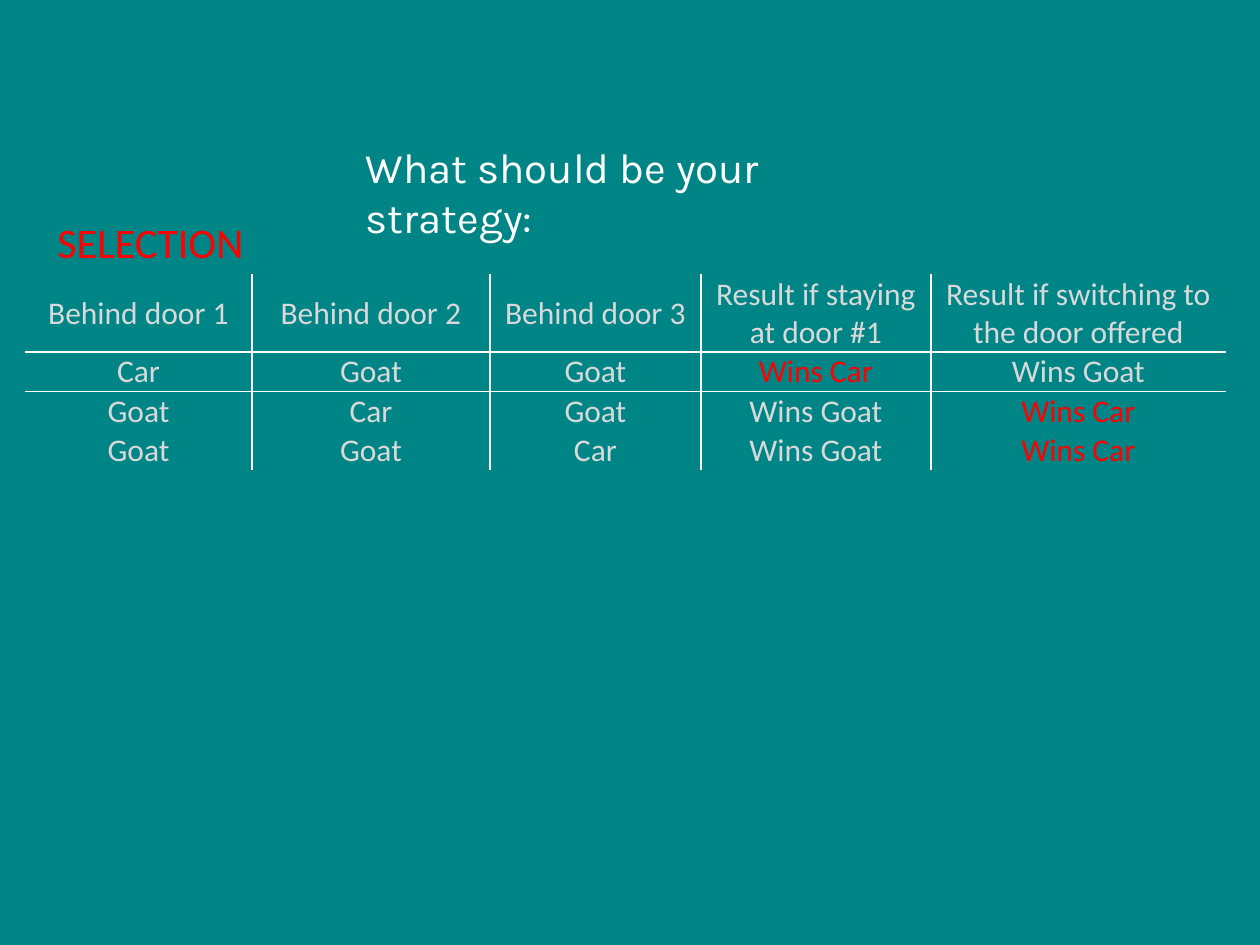
from lxml import etree
from pptx import Presentation
from pptx.dml.color import RGBColor
from pptx.enum.text import MSO_ANCHOR, MSO_AUTO_SIZE, PP_ALIGN
from pptx.oxml.ns import qn
from pptx.util import Pt

PX = 914400 // 126
LEFT, CENTER = PP_ALIGN.LEFT, PP_ALIGN.CENTER
TOP, MIDDLE, BOTTOM = MSO_ANCHOR.TOP, MSO_ANCHOR.MIDDLE, MSO_ANCHOR.BOTTOM
FIXED = MSO_AUTO_SIZE.NONE
PLAIN = "{2D5ABB26-0587-4C30-8999-92F81FD0307C}"
TEAL, WHITE, GREY, RED = "008586", "FFFFFF", "D9D9D9", "FF0000"
WIN = "Wins Car"
WIDTHS = [227, 238, 211, 230, 295]
HEIGHTS = [77, 39, 39, 39]
ROWS = [
    ["Behind door 1", "Behind door 2", "Behind door 3",
     "Result if staying at door #1", "Result if switching to the door offered"],
    ["Car", "Goat", "Goat", WIN, "Wins Goat"],
    ["Goat", "Car", "Goat", "Wins Goat", WIN],
    ["Goat", "Goat", "Car", "Wins Goat", WIN],
]


def px(*nums):
    return [num * PX for num in nums]


def rgb(code):
    return RGBColor.from_string(code)


def write(frame, text, face, size, color, align):
    frame.text = text
    para = frame.paragraphs[0]
    para.alignment = align
    font = para.runs[0].font
    font.name, font.size = face, Pt(size)
    font.color.rgb = rgb(color)


def place(shape, left, top, width, height):
    shape.left, shape.top, shape.width, shape.height = px(left, top, width, height)


def add_title(slide, text):
    title = slide.shapes.title
    place(title, 353, 135, 593, 63)
    frame = title.text_frame
    write(frame, text, "Karla", 24, WHITE, LEFT)
    frame.vertical_anchor, frame.auto_size = TOP, FIXED
    frame.word_wrap = True


def add_label(slide, text):
    box = slide.shapes.add_textbox(*px(44, 210, 213, 63))
    box.text_frame.word_wrap = False
    write(box.text_frame, text, "Calibri", 24, RED, CENTER)


def add_edge(cell, side):
    line = etree.SubElement(cell._tc.get_or_add_tcPr(), qn("a:" + side), w=str(Pt(1)))
    fill = etree.SubElement(line, qn("a:solidFill"))
    etree.SubElement(fill, qn("a:srgbClr"), val=WHITE)


def fill_cell(cell, text, row, col):
    write(cell.text_frame, text, "Calibri", 18, RED if text == WIN else GREY, CENTER)
    cell.margin_left = cell.margin_right = cell.margin_top = PX
    cell.margin_bottom = 0
    cell.vertical_anchor = BOTTOM if row else MIDDLE
    sides = {"lnL": col > 0, "lnR": col < len(WIDTHS) - 1,
             "lnT": row == 1, "lnB": row == 0}
    for side, shown in sides.items():
        if shown:
            add_edge(cell, side)
    cell.fill.background()


def add_grid(slide):
    frame = slide.shapes.add_table(
        len(ROWS), len(WIDTHS), *px(25, 274, sum(WIDTHS), sum(HEIGHTS)))
    table = frame.table
    table.first_row = table.horz_banding = False
    table._tbl.tblPr.find(qn("a:tableStyleId")).text = PLAIN
    for col, width in zip(table.columns, px(*WIDTHS)):
        col.width = width
    for row, height in zip(table.rows, px(*HEIGHTS)):
        row.height = height
    for row, texts in enumerate(ROWS):
        for col, text in enumerate(texts):
            fill_cell(table.cell(row, col), text, row, col)


def main():
    deck = Presentation()
    deck.slide_width, deck.slide_height = px(1260, 945)
    slide = deck.slides.add_slide(deck.slide_layouts[5])
    back = slide.background.fill
    back.solid()
    back.fore_color.rgb = rgb(TEAL)
    add_grid(slide)
    add_title(slide, "What should be your strategy:")
    add_label(slide, "SELECTION")
    deck.save("out.pptx")


if __name__ == "__main__":
    main()
